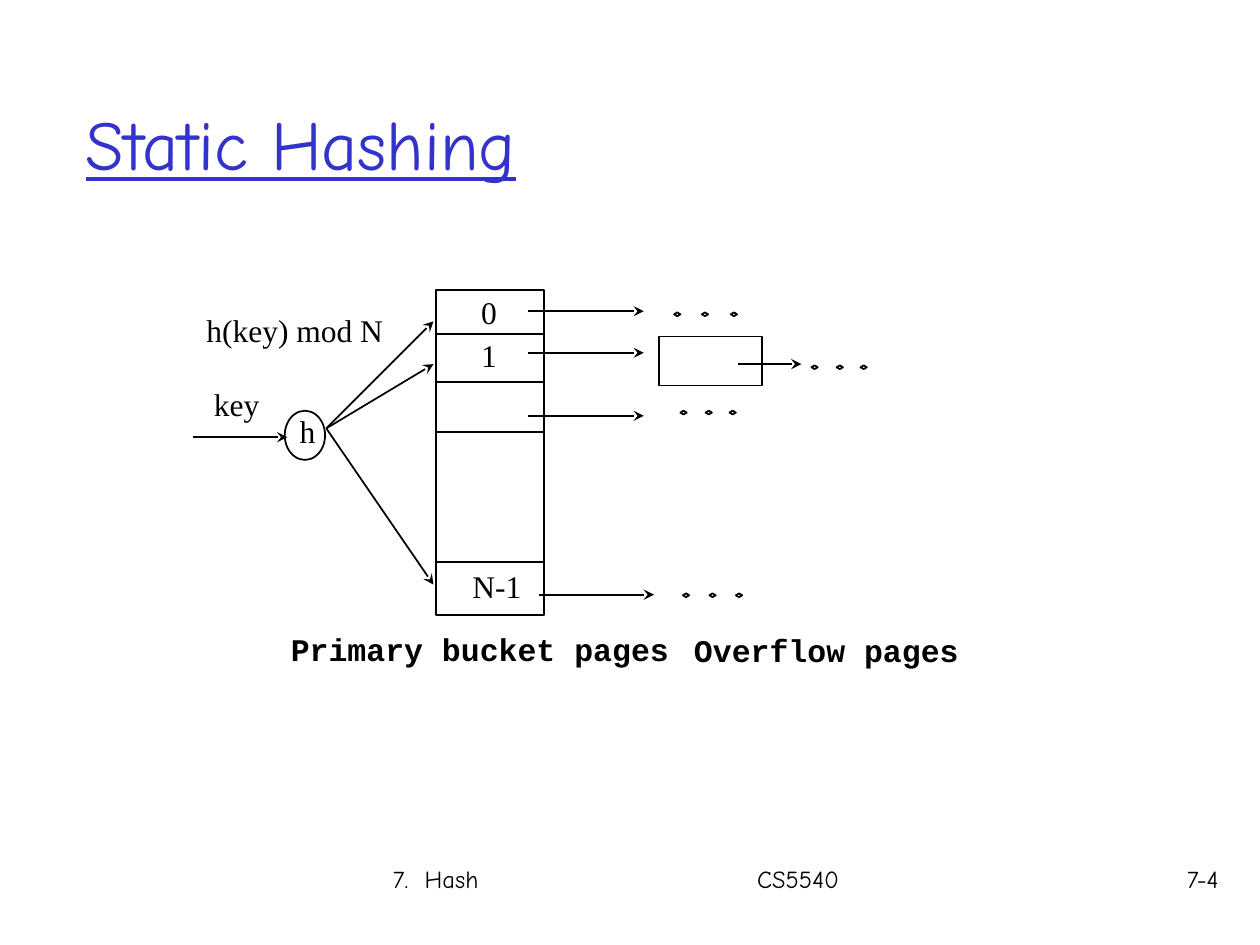
import lxml.etree
import pptx
import pptx.dml.color
import pptx.enum.shapes
import pptx.enum.text
import pptx.oxml.ns
import pptx.util

Inches = pptx.util.Inches
Pt = pptx.util.Pt
qn = pptx.oxml.ns.qn
SHAPE = pptx.enum.shapes.MSO_SHAPE
ALIGN = pptx.enum.text.PP_ALIGN
ANCHOR = pptx.enum.text.MSO_ANCHOR

BLACK = pptx.dml.color.RGBColor(0x00, 0x00, 0x00)
BLUE = pptx.dml.color.RGBColor(0x33, 0x33, 0xCC)

TITLE = {"name": "Comic Neue", "size": Pt(40), "underline": True, "bold": False}
FOOTER = {"name": "Comic Neue", "size": Pt(14)}
LABEL = {"name": "Times New Roman", "size": Pt(18)}
CAPTION = {"name": "Courier New", "size": Pt(18), "bold": True}


class Diagram:
    def __init__(self, s, color, width):
        self.s = s
        self.color = color
        self.width = width

    def add_run(self, tf, text, fmt, color, align=ALIGN.LEFT):
        p = tf.paragraphs[0]
        p.alignment = align
        r = p.add_run()
        r.text = text
        for name, value in fmt.items():
            setattr(r.font, name, value)
        r.font.color.rgb = color
        return p

    def title(self, x, y, w, h, text):
        sp = self.s.shapes.title
        box = {"left": x, "top": y, "width": w, "height": h}
        for name, value in box.items():
            setattr(sp, name, Inches(value))
        sp.text_frame.vertical_anchor = ANCHOR.MIDDLE
        self.add_run(sp.text_frame, text, TITLE, BLUE)

    def text(self, x, y, w, h, text, fmt, align=ALIGN.LEFT, wrap=False):
        sp = self.s.shapes.add_textbox(Inches(x), Inches(y), Inches(w), Inches(h))
        sp.text_frame.word_wrap = wrap
        return self.add_run(sp.text_frame, text, fmt, self.color, align)

    def tab_stop(self, p, pos):
        tabs = lxml.etree.SubElement(p._p.get_or_add_pPr(), qn("a:tabLst"))
        lxml.etree.SubElement(tabs, qn("a:tab"), pos=str(Inches(pos)), algn="l")

    def outline(self, kind, x, y, w, h):
        sp = self.s.shapes.add_shape(kind, Inches(x), Inches(y), Inches(w), Inches(h))
        sp.shadow.inherit = False
        sp.fill.background()
        sp.line.color.rgb = self.color
        sp.line.width = self.width

    def dots(self, y, *lefts):
        for x in lefts:
            self.outline(SHAPE.DIAMOND, x, y, 0.05, 0.03)

    def line(self, x1, y1, x2, y2, arrow=False):
        sp = self.s.shapes.add_connector(
            pptx.enum.shapes.MSO_CONNECTOR.STRAIGHT,
            Inches(x1), Inches(y1), Inches(x2), Inches(y2))
        sp.line.color.rgb = self.color
        sp.line.width = self.width
        if arrow:
            lxml.etree.SubElement(sp.line._get_or_add_ln(), qn("a:tailEnd"), type="stealth")
        lxml.etree.SubElement(sp._element.spPr, qn("a:effectLst"))


def main():
    prs = pptx.Presentation()
    prs.slide_width = Inches(10)
    prs.slide_height = Inches(7.5)
    d = Diagram(prs.slides.add_slide(prs.slide_layouts[5]), BLACK, Pt(1))

    d.title(0.58, 0.51, 8.5, 1.24, "Static Hashing")

    left, right = 3.46, 4.32
    d.outline(SHAPE.RECTANGLE, left, 2.3, right - left, 2.58)
    for y in (2.65, 3.03, 3.43, 4.46):
        d.line(left, y, right, y)
    d.outline(SHAPE.RECTANGLE, 5.23, 2.67, 0.82, 0.39)
    d.outline(SHAPE.OVAL, 2.26, 3.26, 0.32, 0.39)

    for x, y, w, text in (
        (1.54, 2.42, 1.6, "h(key) mod N"),
        (1.6, 3.01, 0.56, "key"),
        (2.28, 3.22, 0.32, "h"),
        (3.72, 2.28, 0.32, "0"),
        (3.72, 2.62, 0.32, "1"),
        (3.65, 4.45, 0.59, "N-1"),
    ):
        d.text(x, y, w, 0.4, text, LABEL)
    d.text(2.21, 4.95, 3.2, 0.4, "Primary bucket pages", CAPTION)
    d.text(5.41, 4.96, 2.3, 0.4, "Overflow pages", CAPTION)

    d.line(1.53, 3.47, 2.28, 3.47, arrow=True)
    for y in (2.55, 2.89, 4.64):
        d.line(2.59, 3.4, 3.44, y, arrow=True)
    for x1, x2, y in (
        (4.19, 5.11, 2.47),
        (4.19, 5.11, 2.8),
        (4.19, 5.11, 3.3),
        (4.28, 5.19, 4.72),
        (5.86, 6.36, 2.89),
    ):
        d.line(x1, y, x2, y, arrow=True)

    d.dots(2.48, 5.35, 5.57, 5.8)
    d.dots(2.9, 6.44, 6.64, 6.83)
    d.dots(3.26, 5.4, 5.6, 5.79)
    d.dots(4.71, 5.42, 5.63, 5.84)

    footer = d.text(3.02, 6.81, 5.99, 0.5, "7.  Hash\tCS5540", FOOTER, wrap=True)
    d.tab_stop(footer, 2.89)
    d.text(9.03, 6.81, 0.74, 0.5, "7-4", FOOTER, ALIGN.RIGHT, wrap=True)

    prs.save("out.pptx")


if __name__ == "__main__":
    main()
